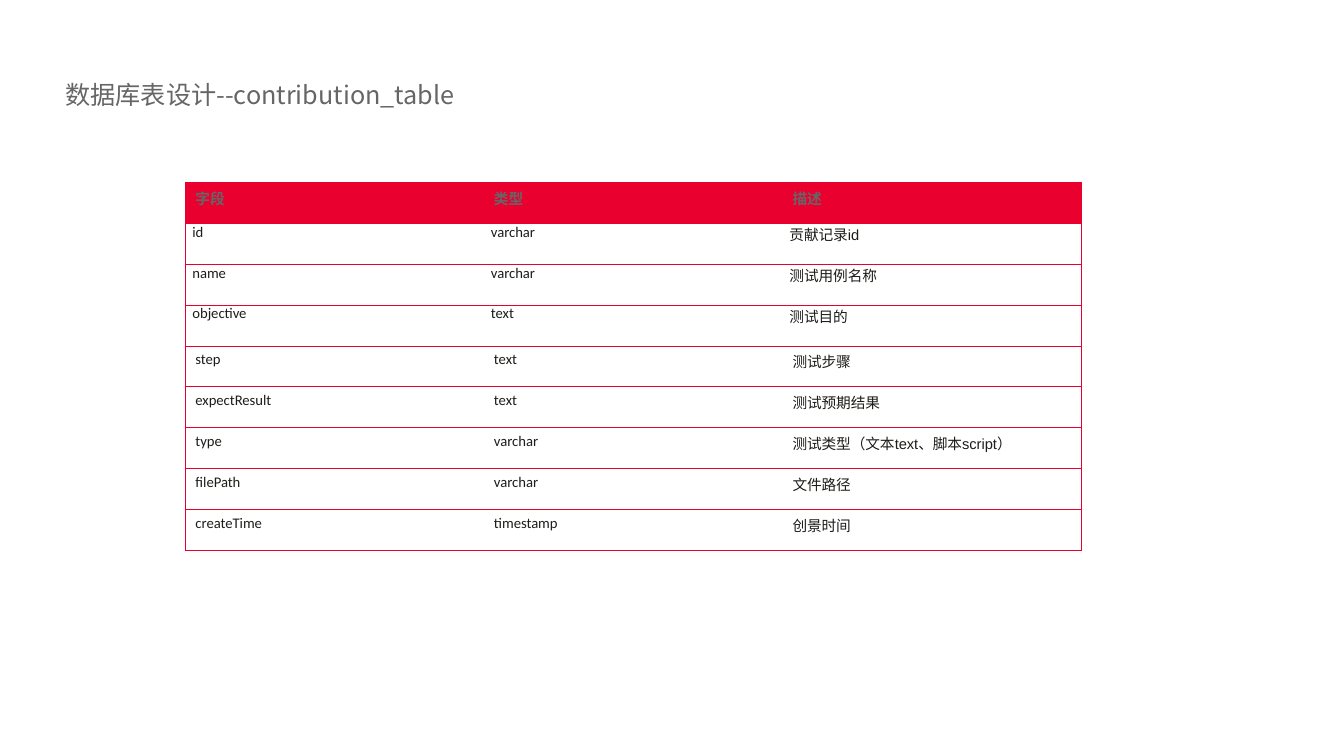
from lxml import etree
from pptx import Presentation
from pptx.dml.color import RGBColor
from pptx.enum.text import PP_ALIGN
from pptx.oxml.ns import qn
from pptx.util import Inches, Pt

JUSTIFY = PP_ALIGN.JUSTIFY
COLORS = {"red": "E9002F", "grey": "666666", "ink": "1D1D1A", "white": "FFFFFF"}
CJK_FONT = "Noto Sans CJK SC"
COLUMN_FONTS = ("Calibri", "Calibri", "Arial")
HEADER = ("字段", "类型", "描述")
FIELDS = (
    ("id", "varchar", "贡献记录id"),
    ("name", "varchar", "测试用例名称"),
    ("objective", "text", "测试目的"),
    ("step", "text", "测试步骤"),
    ("expectResult", "text", "测试预期结果"),
    ("type", "varchar", "测试类型（文本text、脚本script）"),
    ("filePath", "varchar", "文件路径"),
    ("createTime", "timestamp", "创景时间"),
)
TIGHT_ROWS = range(1, 4)  # rows with narrow margins and justified text


def add_run(paragraph, text, size, font_name, color, bold=False):
    run = paragraph.add_run()
    run.text = text
    run.font.size = Pt(size)
    run.font.bold = bold
    run.font.color.rgb = RGBColor.from_string(COLORS[color])
    run.font.name = font_name
    east_asian = etree.SubElement(run.font._element, qn("a:ea"))
    east_asian.set("typeface", CJK_FONT)


def add_title(slide, text):
    shape = slide.shapes.add_textbox(Inches(0.55), Inches(0.56), Inches(6.36), Inches(0.58))
    shape.text_frame.word_wrap = True
    paragraph = shape.text_frame.paragraphs[0]
    paragraph.line_spacing = Pt(34.4)
    add_run(paragraph, text, 18, CJK_FONT, "grey")


def set_borders(cell, visible_sides):
    properties = cell._tc.get_or_add_tcPr()
    for index, side in enumerate(("lnL", "lnR", "lnT", "lnB")):
        line = etree.Element(qn("a:" + side), w=str(Pt(0.5)))
        if side in visible_sides:
            fill = etree.SubElement(line, qn("a:solidFill"))
            etree.SubElement(fill, qn("a:srgbClr"), val=COLORS["red"])
        else:
            etree.SubElement(line, qn("a:noFill"))
        properties.insert(index, line)


def fill_cell(cell, text, row, column):
    is_header = row == 0
    cell.fill.solid()
    cell.fill.fore_color.rgb = RGBColor.from_string(COLORS["red" if is_header else "white"])
    paragraph = cell.text_frame.paragraphs[0]
    if row in TIGHT_ROWS:
        cell.margin_left = cell.margin_right = Inches(0.07)
        cell.margin_top = cell.margin_bottom = Inches(0)
        paragraph.alignment = JUSTIFY
    if is_header:
        add_run(paragraph, text, 10.5, "Calibri", "grey", bold=True)
    else:
        add_run(paragraph, text, 10.5, COLUMN_FONTS[column], "ink")

    # Horizontal rules everywhere, vertical rules only on the outside
    sides = ["lnT", "lnB"]
    if column == 0:
        sides.append("lnL")
    if column == len(HEADER) - 1:
        sides.append("lnR")
    set_borders(cell, sides)


def add_field_table(slide):
    rows = (HEADER,) + FIELDS
    shape = slide.shapes.add_table(len(rows), len(HEADER), Inches(1.84), Inches(1.81),
                                   Inches(8.89), Inches(3.65))
    table = shape.table
    table.horz_banding = False
    for row, texts in enumerate(rows):
        for column, text in enumerate(texts):
            fill_cell(table.cell(row, column), text, row, column)


def main():
    presentation = Presentation()
    presentation.slide_width = Inches(13.34)
    presentation.slide_height = Inches(7.5)
    slide = presentation.slides.add_slide(presentation.slide_layouts[6])
    add_title(slide, "数据库表设计--contribution_table")
    add_field_table(slide)
    presentation.save("out.pptx")


if __name__ == "__main__":
    main()
